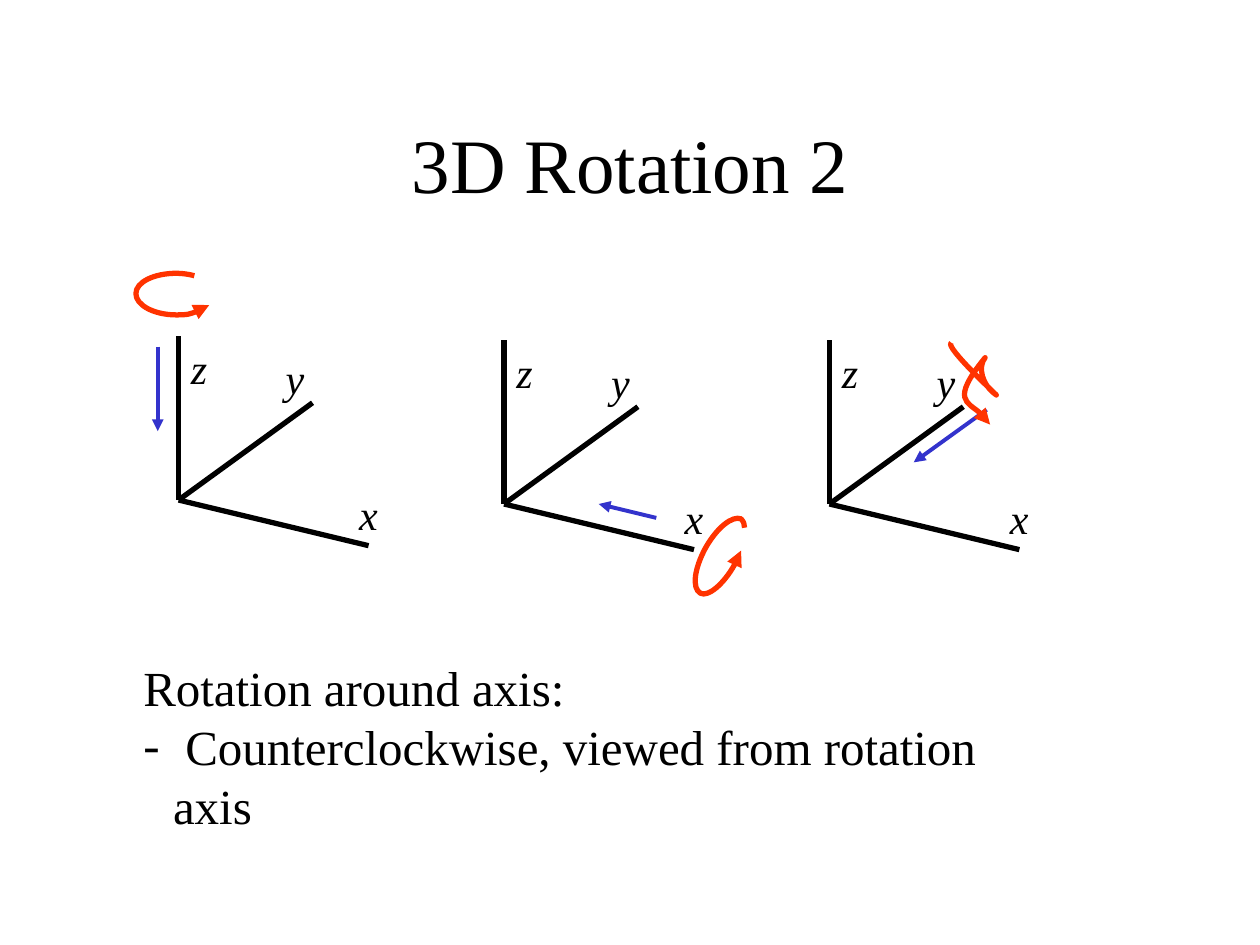
from dataclasses import dataclass
from math import cos, radians, sin

from lxml.etree import SubElement
from pptx import Presentation
from pptx.dml.color import RGBColor
from pptx.enum.shapes import MSO_CONNECTOR
from pptx.enum.text import MSO_ANCHOR, PP_ALIGN
from pptx.oxml.ns import qn
from pptx.util import Cm, Pt


@dataclass(frozen=True)
class Theme:
    font: str = "Times New Roman"
    ink: RGBColor = RGBColor(0, 0, 0)
    view: RGBColor = RGBColor(0x33, 0x33, 0xCC)
    turn: RGBColor = RGBColor(0xFF, 0x33, 0x00)
    title_size: int = 44
    body_size: int = 28
    label_size: int = 24
    axis_width: float = 3
    view_width: float = 2.25


THEME = Theme()

# Axis name, tip of the axis and corner of its label, in cm from the origin
AXES = [
    ("z", (0, -3.3), (0, -3.3)),
    ("x", (3.83, 0.92), (3.39, -0.35)),
    ("y", (2.7, -1.96), (1.91, -3.1)),
]

# For each frame: origin, viewing arrow (start, end), then the turning curve:
# its box (left, top, width, height), the angle of that box, and a start point
# followed by three Bezier points per segment, in cm on the page
FRAMES = [
    ((3.6, 10.08), ((3.18, 6.99), (3.18, 8.69)),
     (2.74, 5.51, 1.48, 0.84), 0,
     [(3.92, 5.56),
      (3.81, 5.53), (3.68, 5.51), (3.56, 5.51),
      (3.1, 5.51), (2.74, 5.69), (2.74, 5.92),
      (2.74, 6.15), (3.1, 6.35), (3.56, 6.35),
      (3.81, 6.35), (4.06, 6.27), (4.22, 6.15)]),
    ((10.16, 10.16), ((13.23, 10.44), (12.07, 10.16)),
     (14.17, 10.36, 0.69, 1.68), 28.9,
     [(15.01, 10.64),
      (15.01, 10.57), (14.99, 10.52), (14.94, 10.46),
      (14.76, 10.39), (14.45, 10.64), (14.22, 11.05),
      (14, 11.46), (13.94, 11.86), (14.12, 11.96),
      (14.27, 12.04), (14.58, 11.79), (14.81, 11.38),
      (14.86, 11.28), (14.91, 11.2), (14.94, 11.1)]),
    ((16.72, 10.16), ((19.89, 8.26), (18.42, 9.32)),
     (19.86, 6.99, 0.91, 1.19), 309,
     [(19.18, 6.91),
      (19, 6.96), (20.24, 8.1), (20.07, 7.95),
      (19.79, 7.75), (19.71, 7.39), (19.86, 7.21),
      (19.15, 8.08), (19.51, 8.1), (19.76, 8.33),
      (19.86, 8.41), (19.91, 8.48), (19.96, 8.56)]),
]


def add_text(page, text, left, top, width, height, *, size, italic=False,
             align=PP_ALIGN.LEFT, anchor=MSO_ANCHOR.TOP, wrap=True, bullets=()):
    """Add a text box; each line of text is a paragraph, bullets lists dashed ones."""
    box = page.shapes.add_textbox(Cm(left), Cm(top), Cm(width), Cm(height))
    frame = box.text_frame
    frame.word_wrap = wrap
    frame.vertical_anchor = anchor
    for index, line in enumerate(text.split("\n")):
        para = frame.add_paragraph() if index else frame.paragraphs[0]
        para.alignment = align
        if index in bullets:
            add_dash(para)
        span = para.add_run()
        span.text = line
        span.font.name = THEME.font
        span.font.size = Pt(size)
        span.font.italic = italic
        span.font.color.rgb = THEME.ink


def add_dash(para):
    properties = para._p.get_or_add_pPr()
    properties.set("marL", str(Cm(0.6)))
    properties.set("indent", str(-Cm(0.6)))
    SubElement(properties, qn("a:buFont"), typeface=THEME.font)
    SubElement(properties, qn("a:buChar"), char="-")


def style_line(line, color, width, arrow):
    line.color.rgb = color
    line.width = Pt(width)
    if arrow:
        SubElement(line._get_or_add_ln(), qn("a:tailEnd"), type="triangle")


def add_line(page, start, end, *, color, width, arrow=False):
    connector = page.shapes.add_connector(
        MSO_CONNECTOR.STRAIGHT, *(Cm(value) for value in (*start, *end)))
    style_line(connector.line, color, width, arrow)
    SubElement(connector._element.spPr, qn("a:effectLst"))


def to_box(point, box, angle):
    """Turn a page point back about the middle of the box, measured from its corner."""
    left, top, width, height = box
    dx, dy = point[0] - left - width / 2, point[1] - top - height / 2
    c, s = cos(radians(angle)), sin(radians(angle))
    return Cm(width / 2 + dx * c + dy * s), Cm(height / 2 - dx * s + dy * c)


def add_curve(page, box, angle, points, *, color, width):
    left, top, box_width, box_height = box
    builder = page.shapes.build_freeform(Cm(left), Cm(top))
    builder.add_line_segments([(Cm(left + box_width), Cm(top + box_height))], close=False)
    curve = builder.convert_to_shape()

    # Trade the straight outline for Bezier segments
    outline = curve._element.spPr.find(".//" + qn("a:path"))
    for child in list(outline):
        outline.remove(child)
    for index, point in enumerate(points):
        if index == 0:
            segment = SubElement(outline, qn("a:moveTo"))
        elif index % 3 == 1:
            segment = SubElement(outline, qn("a:cubicBezTo"))
        x, y = to_box(point, box, angle)
        SubElement(segment, qn("a:pt"), x=str(x), y=str(y))

    curve.rotation = angle
    curve.shadow.inherit = False
    curve.fill.background()
    style_line(curve.line, color, width, arrow=True)


def add_axes(page, origin):
    x, y = origin
    for name, (tip_x, tip_y), (label_x, label_y) in AXES:
        add_line(page, origin, (x + tip_x, y + tip_y),
                 color=THEME.ink, width=THEME.axis_width)
        add_text(page, name, x + label_x, y + label_y, 0.89, 1.27,
                 size=THEME.label_size, italic=True, wrap=False)


def main():
    deck = Presentation()
    deck.slide_width, deck.slide_height = Cm(25.4), Cm(19.05)
    page = deck.slides.add_slide(deck.slide_layouts[6])

    # Title
    add_text(page, "3D Rotation 2", 1.9, 1.7, 21.6, 3.18, size=THEME.title_size,
             align=PP_ALIGN.CENTER, anchor=MSO_ANCHOR.MIDDLE)

    # Coordinate frames, each with its viewing direction and turn
    for origin, (start, end), box, angle, turn in FRAMES:
        add_axes(page, origin)
        add_line(page, start, end, color=THEME.view, width=THEME.view_width, arrow=True)
        add_curve(page, box, angle, turn, color=THEME.turn, width=THEME.axis_width)

    # Explanation
    add_text(page, "Rotation around axis:\n Counterclockwise, viewed from rotation axis",
             2.64, 13.13, 18.85, 2.64, size=THEME.body_size, bullets={1})

    deck.save("out.pptx")


if __name__ == "__main__":
    main()
